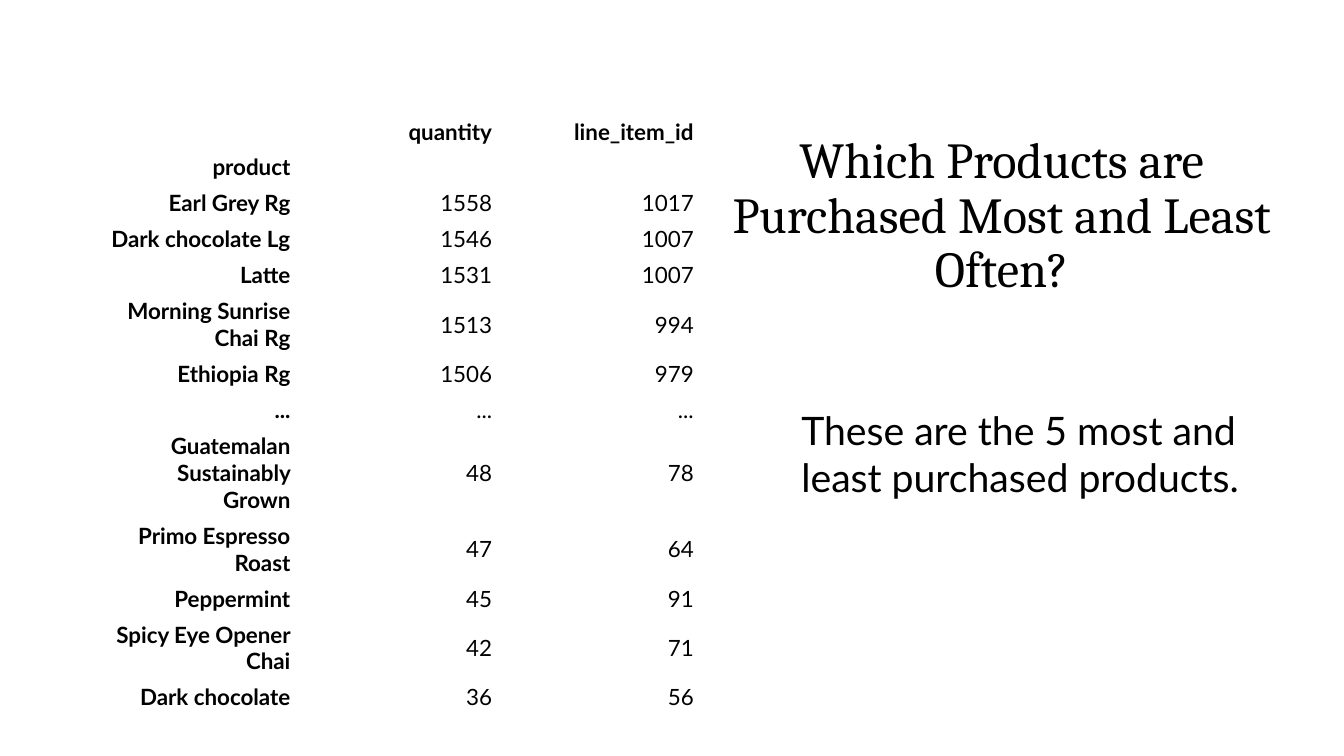
from dataclasses import dataclass

from pptx import Presentation
from pptx import util as u
from pptx.dml.color import RGBColor
from pptx.enum import text


@dataclass(frozen=True)
class Theme:
    ink = RGBColor(0, 0, 0)
    paper = RGBColor(255, 255, 255)
    title_font = "Cambria"
    body_font = "Lato"
    title_size = u.Pt(36)
    body_size = u.Pt(28)
    table_size = u.Pt(16)


theme = Theme()


def style(p, font, size, align, bold=False):
    p.alignment = align
    p.font.name = font
    p.font.size = size
    p.font.bold = bold
    p.font.color.rgb = theme.ink


def add_text(s, box, words, anchor):
    tf = s.shapes.add_textbox(*map(u.Inches, box)).text_frame
    tf.word_wrap = True
    tf.vertical_anchor = anchor
    tf.text = words
    return tf


prs = Presentation()
prs.slide_width = u.Inches(13.33)
prs.slide_height = u.Inches(7.5)
s = prs.slides.add_slide(prs.slide_layouts[6])
s.background.fill.solid()
s.background.fill.fore_color.rgb = theme.paper

# Title
tf = add_text(s, (7.09, 1.01, 5.69, 2),
              "Which Products are Purchased Most and Least Often?",
              text.MSO_ANCHOR.BOTTOM)
style(tf.paragraphs[0], theme.title_font, theme.title_size, text.PP_ALIGN.CENTER)
tf.paragraphs[0].line_spacing = 0.9

# Product table
rows = [
    ("", "quantity", "line_item_id"),
    ("product", "", ""),
    ("Earl Grey Rg", "1558", "1017"),
    ("Dark chocolate Lg", "1546", "1007"),
    ("Latte", "1531", "1007"),
    ("Morning Sunrise Chai Rg", "1513", "994"),
    ("Ethiopia Rg", "1506", "979"),
    ("...", "...", "..."),
    ("Guatemalan Sustainably Grown", "48", "78"),
    ("Primo Espresso Roast", "47", "64"),
    ("Peppermint", "45", "91"),
    ("Spicy Eye Opener Chai", "42", "71"),
    ("Dark chocolate", "36", "56"),
]
table = s.shapes.add_table(len(rows), 3, u.Inches(0.97), u.Inches(1.13),
                           u.Inches(6), u.Inches(0.31 * len(rows))).table
table.first_row = False
table.horz_banding = False
for i, row in enumerate(rows):
    for j, value in enumerate(row):
        cell = table.cell(i, j)
        cell.fill.solid()
        cell.fill.fore_color.rgb = theme.paper
        cell.vertical_anchor = text.MSO_ANCHOR.MIDDLE
        cell.margin_left = cell.margin_right = u.Inches(0.09)
        cell.margin_top = u.Inches(0.04)
        cell.margin_bottom = u.Inches(0.05)
        p = cell.text_frame.paragraphs[0]
        p.text = value
        style(p, theme.body_font, theme.table_size, text.PP_ALIGN.RIGHT,
              bold=i == 0 or j == 0)
        if not value:
            # An empty cell takes its line height from the end mark
            end = p._p.get_or_add_endParaRPr()
            end.set("sz", str(int(theme.table_size.pt * 100)))
table.rows[8].height = u.Inches(0.55)

# Explanation
tf = add_text(s, (7.85, 3.98, 4.93, 1.04),
              "These are the 5 most and least purchased products.",
              text.MSO_ANCHOR.TOP)
tf.auto_size = text.MSO_AUTO_SIZE.SHAPE_TO_FIT_TEXT
style(tf.paragraphs[0], theme.body_font, theme.body_size, text.PP_ALIGN.LEFT)

prs.save("out.pptx")
